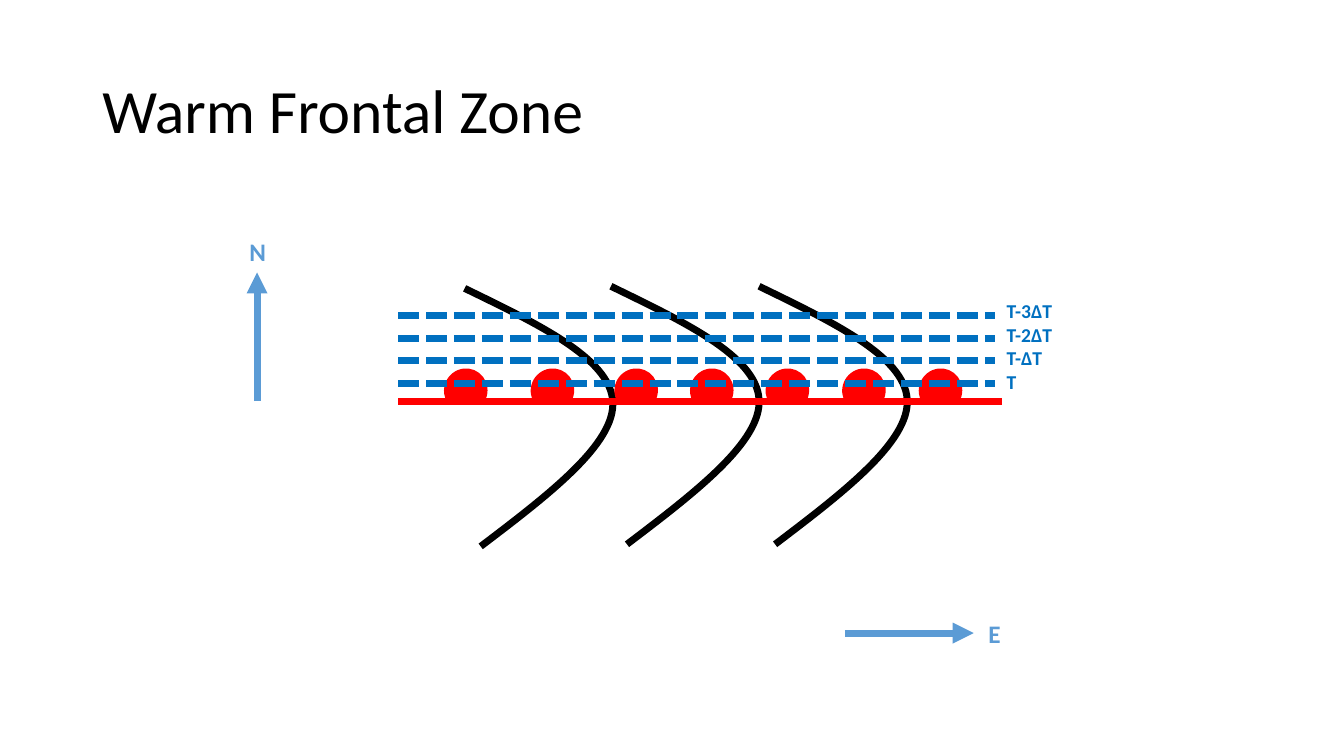
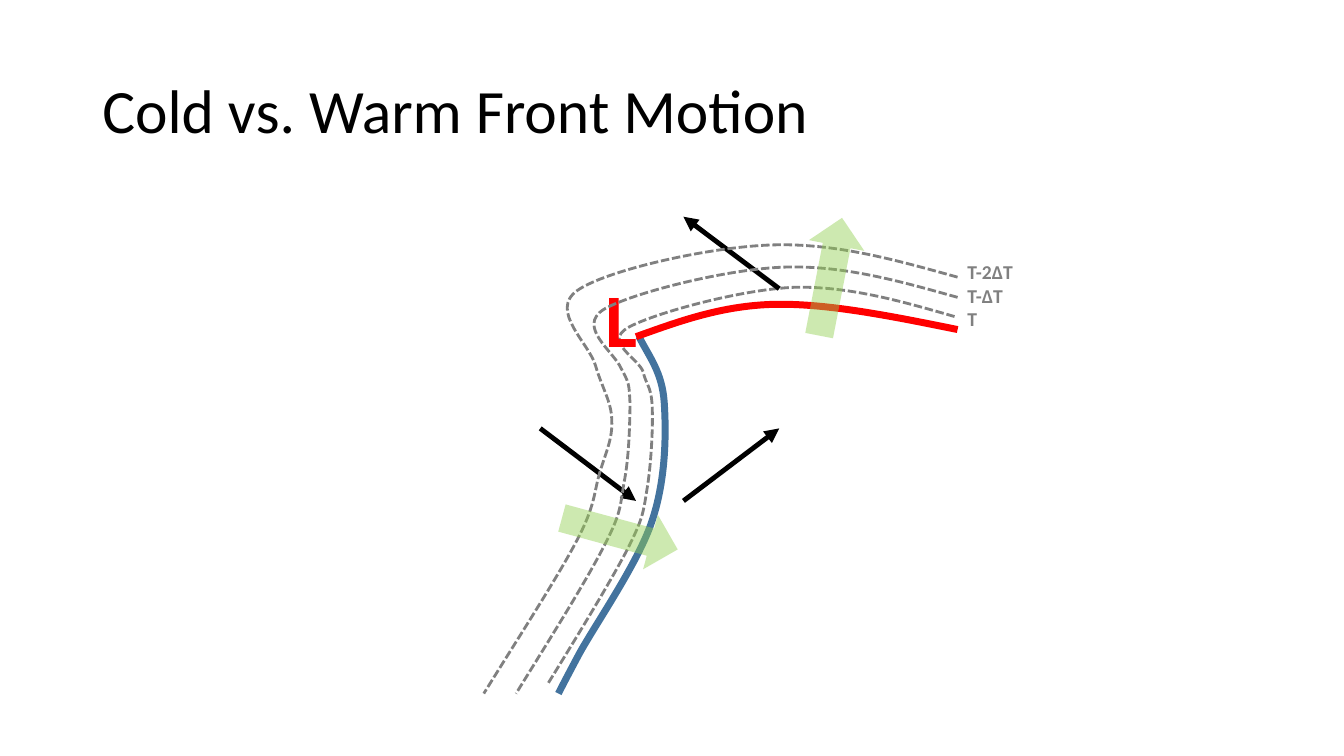
from pptx import Presentation
from pptx.dml.color import RGBColor
from pptx.enum.dml import MSO_LINE
from pptx.enum.shapes import MSO_CONNECTOR, MSO_SHAPE
from pptx.enum.text import MSO_ANCHOR, PP_ALIGN
from pptx.oxml.xmlchemy import OxmlElement
from pptx.util import Pt

COLORS = {
    "text": "000000",
    "compass": "5B9BD5",
    "warm": "FF0000",
    "cold": "43739E",
    "isotherm": "0070C0",
    "gray": "808080",
    "motion": "92D050",
}
FONT = "Calibri"
TITLE_BOX = (66, 28.8, 828, 104.4)
TITLE_FORMAT = {"size": Pt(44), "bold": False}

# Bezier curves: a start point, then three points for each segment
ISOBAR = [(0, 0), (51.8, 25.2), (103.7, 49.7), (105.8, 80.6),
          (108, 110.9), (59.8, 147.6), (11.5, 184.3)]
WARM_FRONT = [(108.7, 85.7), (139, 74.9), (169.9, 63.4), (208.1, 62.6),
              (246.2, 61.9), (292.3, 71.3), (338.4, 80.6)]
COLD_FRONT = [(110.9, 85.7), (118.1, 100.1), (127.4, 110.9), (128.9, 132.5),
              (130.3, 154.1), (130.3, 187.2), (120.2, 217.4),
              (110.2, 247.7), (78.5, 293), (67.7, 313.2),
              (56.9, 333.4), (53.3, 340.6), (53.3, 340.6)]
INNER_ISOTHERM = [
    (336.2, 71.3), (298.8, 60.5), (261.4, 49.7), (222.5, 50.4),
    (183.6, 51.8), (121, 69.1), (103, 79.2),
    (85, 89.3), (110.9, 101.5), (113.8, 110.9),
    (115.9, 120.2), (119.5, 121), (120.2, 134.6),
    (121, 149), (119.5, 177.1), (116.6, 194.4),
    (113.8, 211.7), (113.8, 215.3), (102.2, 238.3),
    (90, 261.4), (67.7, 298.1), (45.4, 334.1)]
MIDDLE_ISOTHERM = [
    (338.4, 57.6), (297.4, 46.1), (257, 34.6), (214.6, 36),
    (172.8, 37.4), (105.1, 54.7), (85.7, 66.2),
    (66.2, 78.5), (92.9, 96.5), (97.9, 108),
    (103.7, 118.8), (103.7, 118.8), (104.4, 132.5),
    (104.4, 146.9), (103.7, 172.8), (100.1, 190.1),
    (97.2, 208.1), (97.9, 212.4), (85, 236.9),
    (72, 262.1), (47.5, 301), (23, 340.6)]
OUTER_ISOTHERM = [
    (338.4, 43.2), (294.5, 31), (251.3, 18.7), (205.9, 20.2),
    (160.6, 21.6), (87.8, 38.2), (67, 52.6),
    (46.1, 67), (75.6, 90.7), (79.9, 106.6),
    (84.2, 121.7), (91.4, 132.5), (91.4, 145.4),
    (92.2, 158.4), (87.1, 168.5), (82.8, 182.9),
    (78.5, 197.3), (79.9, 205.9), (66.2, 231.8),
    (52.6, 257.8), (25.9, 298.8), (0, 340.6)]


def rgb(name):
    return RGBColor.from_string(COLORS[name])


def add_text(slide, box, lines, color, formats, align=PP_ALIGN.LEFT,
             anchor=MSO_ANCHOR.TOP, spacing=1.0):
    sp = slide.shapes.add_textbox(*map(Pt, box))
    tf = sp.text_frame
    tf.word_wrap = True
    tf.vertical_anchor = anchor
    for i, line in enumerate(lines):
        p = tf.add_paragraph() if i else tf.paragraphs[0]
        p.alignment = align
        p.line_spacing = spacing
        r = p.add_run()
        r.text = line
        r.font.color.rgb = rgb(color)
        for key, value in {"name": FONT, "bold": True, **formats}.items():
            setattr(r.font, key, value)


def style_line(sp, color, width, dash=None):
    sp.line.color.rgb = rgb(color)
    for key, value in {"width": Pt(width), "dash_style": dash}.items():
        setattr(sp.line, key, value)


def add_line(slide, start, end, color, width, dash=None, arrow=False):
    sp = slide.shapes.add_connector(MSO_CONNECTOR.STRAIGHT,
                                    *map(Pt, (*start, *end)))
    style_line(sp, color, width, dash)
    if arrow:
        tail = OxmlElement("a:tailEnd")
        tail.set("type", "triangle")
        sp.line._get_or_add_ln().append(tail)
    sp._element.spPr.append(OxmlElement("a:effectLst"))


def add_curve(slide, origin, points, color, width, dash=None):
    left, top = origin
    pts = [(Pt(left + x), Pt(top + y)) for x, y in points]
    builder = slide.shapes.build_freeform(*pts[0])
    builder.add_line_segments(pts[1:], close=False)
    sp = builder.convert_to_shape()
    sp.fill.background()
    sp.shadow.inherit = False
    style_line(sp, color, width, dash)
    # Join each three straight segments into one cubic segment
    segments = sp._element.xpath(".//a:lnTo")
    for i in range(0, len(segments), 3):
        cubic = OxmlElement("a:cubicBezTo")
        segments[i].addprevious(cubic)
        for segment in segments[i:i + 3]:
            cubic.append(segment[0])
            segment.getparent().remove(segment)


def add_solid(slide, kind, box, color, rotation, alpha=None):
    sp = slide.shapes.add_shape(kind, *map(Pt, box))
    sp.rotation = rotation
    sp.shadow.inherit = False
    sp.fill.solid()
    sp.fill.fore_color.rgb = rgb(color)
    sp.line.fill.background()
    if alpha:
        node = OxmlElement("a:alpha")
        node.set("val", str(alpha * 1000))
        sp._element.spPr.xpath("./a:solidFill/a:srgbClr")[0].append(node)


def add_titled_slide(prs, title):
    slide = prs.slides.add_slide(prs.slide_layouts[6])
    add_text(slide, TITLE_BOX, [title], "text", TITLE_FORMAT,
             anchor=MSO_ANCHOR.MIDDLE, spacing=0.9)
    return slide


def add_compass(slide, box):
    left, top, width, height = box
    arrow_length = 92
    north_x, east_y = left + 24.5, top + height - 14.4
    arrows = [
        ((left + width - 106.6, east_y), (left + width - 14.6, east_y)),
        ((north_x, top + 121), (north_x, top + 121 - arrow_length)),
    ]
    labels = [("E", left + width - 24.6, top + height - 28.8), ("N", left, top)]
    for (start, end), (name, x, y) in zip(arrows, labels):
        add_line(slide, start, end, "compass", 5, arrow=True)
        add_text(slide, (x, y, 49.7, 28.8), [name], "compass",
                 {"size": Pt(18)}, align=PP_ALIGN.CENTER)


def add_frontal_zone(slide, box):
    left, top, width, height = box
    front_y = top + 82
    # Isobars
    for x, y in [(152, 0), (47.5, 1.5), (257.8, 0)]:
        add_curve(slide, (left + x, top + y), ISOBAR, "text", 5)
    # Warm front
    add_line(slide, (left, front_y), (left + width, front_y), "warm", 5)
    for x in (32.4, 94.3, 154.1, 208.1, 262.1, 316.8, 371.5):
        add_solid(slide, MSO_SHAPE.CHORD,
                  (left + x, front_y - 23, 31.7, 31), "warm", 112.5)
    # Isotherms
    for i in range(4):
        y = top + 20.9 + 16.1 * i
        add_line(slide, (left, y), (left + width - 5, y), "isotherm", 5,
                 dash=MSO_LINE.SQUARE_DOT)
    add_text(slide, (left + width - 3.7, top + 5.7, 111.6, 74.9),
             ["T-3ΔT", "T-2ΔT", "T-ΔT", "T"], "isotherm", {"size": Pt(14)})


def add_cyclone(slide, box):
    left, top, width, height = box

    def at(x, y):
        return left + x, top + y

    def draw_isotherm(points):
        add_curve(slide, (left, top), points, "gray", 2, MSO_LINE.SQUARE_DOT)

    # Fronts and low
    draw_isotherm(INNER_ISOTHERM)
    add_curve(slide, (left, top), COLD_FRONT, "cold", 5)
    add_curve(slide, (left, top), WARM_FRONT, "warm", 5)
    add_text(slide, (*at(79.9, 36), 69.8, 72.7), ["L"], "warm",
             {"size": Pt(54)})
    # Winds
    for x, y, dx, dy in [(40.3, 151.2, 68.4, 51.8), (142.6, 203, 68.4, -51.8),
                         (211, 51.4, -68.4, -51.4)]:
        add_line(slide, at(x, y), at(x + dx, y + dy), "text", 3.5, arrow=True)
    # Outer isotherms and labels
    for points in (MIDDLE_ISOTHERM, OUTER_ISOTHERM):
        draw_isotherm(points)
    add_text(slide, (*at(width, 27.4), 126.7, 58.3),
             ["T-2ΔT", "T-ΔT", "T"], "gray", {"size": Pt(14)})
    # Front motion
    for x, y, rotation in [(227.5, 0, 191), (77, 183.6, 285.2)]:
        add_solid(slide, MSO_SHAPE.DOWN_ARROW, (*at(x, y), 40.3, 85.7),
                  "motion", rotation, alpha=45)


def main():
    prs = Presentation()
    prs.slide_width, prs.slide_height = Pt(960), Pt(540)

    slide = add_titled_slide(prs, "Warm Frontal Zone")
    add_compass(slide, (159.1, 165.6, 551, 301))
    add_frontal_zone(slide, (284.4, 204.5, 431.3, 185.8))

    slide = add_titled_slide(prs, "Cold vs. Warm Front Motion")
    add_cyclone(slide, (345.6, 154.8, 338.4, 340.6))

    prs.save("out.pptx")


if __name__ == "__main__":
    main()
